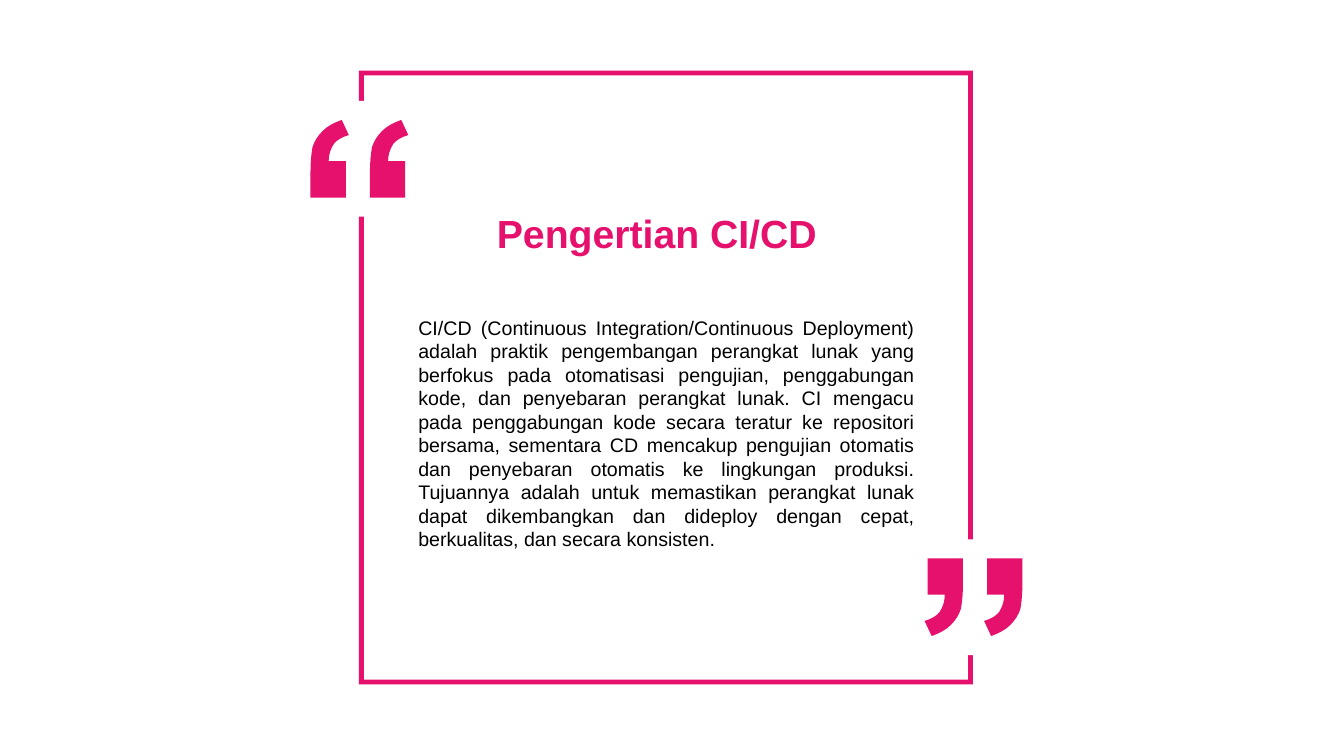
from pptx import Presentation
from pptx.dml.color import RGBColor
from pptx.enum.shapes import MSO_SHAPE
from pptx.enum.text import MSO_ANCHOR, PP_ALIGN
from pptx.oxml.ns import qn
from pptx.util import Inches, Pt

FRAME, RECTANGLE = MSO_SHAPE.FRAME, MSO_SHAPE.RECTANGLE
TOP, MIDDLE = MSO_ANCHOR.TOP, MSO_ANCHOR.MIDDLE
LEFT, JUSTIFY = PP_ALIGN.LEFT, PP_ALIGN.JUSTIFY
PINK, WHITE, BLACK = "E6106D", "FFFFFF", "000000"

TITLE = "Pengertian CI/CD"
BODY = (
    "CI/CD (Continuous Integration/Continuous Deployment) adalah praktik "
    "pengembangan perangkat lunak yang berfokus pada otomatisasi pengujian, "
    "penggabungan kode, dan penyebaran perangkat lunak. CI mengacu pada "
    "penggabungan kode secara teratur ke repositori bersama, sementara CD "
    "mencakup pengujian otomatis dan penyebaran otomatis ke lingkungan produksi. "
    "Tujuannya adalah untuk memastikan perangkat lunak dapat dikembangkan dan "
    "dideploy dengan cepat, berkualitas, dan secara konsisten."
)

# One quotation mark in inches: a single point is a line, three points a curve.
MARK_START = (0.31, 0)
MARK_SEGMENTS = [
    [(0.38, 0.15)],
    [(0.31, 0.17), (0.26, 0.2), (0.23, 0.24)],
    [(0.2, 0.29), (0.18, 0.34), (0.18, 0.41)],
    [(0.35, 0.41)],
    [(0.35, 0.77)],
    [(0, 0.77)],
    [(0, 0.51)],
    [(0, 0.41), (0.01, 0.33), (0.02, 0.27)],
    [(0.04, 0.21), (0.07, 0.16), (0.12, 0.11)],
    [(0.17, 0.06), (0.23, 0.03), (0.31, 0)],
]
MARK_GAP = 0.59


def color(hex_value):
    return RGBColor.from_string(hex_value)


def paint(shape, fill):
    shape.shadow.inherit = False
    shape.fill.solid()
    shape.fill.fore_color.rgb = color(fill)
    shape.line.fill.background()


def add_block(slide, kind, box, fill):
    block = slide.shapes.add_shape(kind, *map(Inches, box))
    paint(block, fill)
    return block


def bend_lines(shape, segments):
    """Join the three lines of each curved segment into one cubic curve."""
    lines = iter(list(shape._element.iter(qn("a:lnTo"))))
    for segment in segments:
        first, *others = [next(lines) for _ in segment]
        if others:
            first.tag = qn("a:cubicBezTo")
        for line in others:
            first.append(line[0])
            line.getparent().remove(line)


def add_quote_marks(slide, left, top, rotation):
    def place(point, shift):
        return Inches(left + shift + point[0]), Inches(top + point[1])

    points = [point for segment in MARK_SEGMENTS for point in segment]
    builder = slide.shapes.build_freeform(*place(MARK_START, 0), scale=1.0)
    builder.add_line_segments([place(point, 0) for point in points])
    builder.move_to(*place(MARK_START, MARK_GAP))
    builder.add_line_segments([place(point, MARK_GAP) for point in points])
    marks = builder.convert_to_shape()
    bend_lines(marks, MARK_SEGMENTS * 2)
    paint(marks, PINK)
    marks.rotation = rotation


def add_quote_badge(slide, box, rotation=0):
    """Cover part of the frame and draw a pair of quotation marks there."""
    cover = add_block(slide, RECTANGLE, box, WHITE)
    cover.rotation = rotation
    add_quote_marks(slide, box[0] + 0.14, box[1] + 0.19, rotation)


def add_text(slide, box, text, font, hex_value, anchor=TOP, alignment=LEFT):
    frame = slide.shapes.add_textbox(*map(Inches, box)).text_frame
    frame.word_wrap = True
    frame.vertical_anchor = anchor
    para = frame.paragraphs[0]
    para.alignment = alignment
    span = para.add_run()
    span.text = text
    for name, value in {"name": "Arial", **font}.items():
        setattr(span.font, name, value)
    span.font.color.rgb = color(hex_value)


def add_quote_frame(slide, box):
    left, top, width, height = box
    badge_width, badge_height = 1.26, 1.15
    frame = add_block(slide, FRAME, box, PINK)
    frame.adjustments[0] = 0.008
    add_quote_badge(slide, (left - 0.62, top + 0.3, badge_width, badge_height))
    add_quote_badge(
        slide,
        (left + width + 0.64 - badge_width, top + height - 0.29 - badge_height,
         badge_width, badge_height),
        rotation=180,
    )
    add_text(slide, (left + 1.27, top + 1.33, 3.62, 0.57), TITLE,
             {"size": Pt(28), "bold": True}, PINK, anchor=MIDDLE)
    add_text(slide, (left + 0.49, top + 2.38, 5.12, 2.69), BODY,
             {"size": Pt(14)}, BLACK, alignment=JUSTIFY)


def main():
    deck = Presentation()
    deck.slide_width, deck.slide_height = Inches(13.33), Inches(7.5)
    page = deck.slides.add_slide(deck.slide_layouts[6])
    add_quote_frame(page, (3.56, 0.7, 6.09, 6.09))
    deck.save("out.pptx")


if __name__ == "__main__":
    main()
